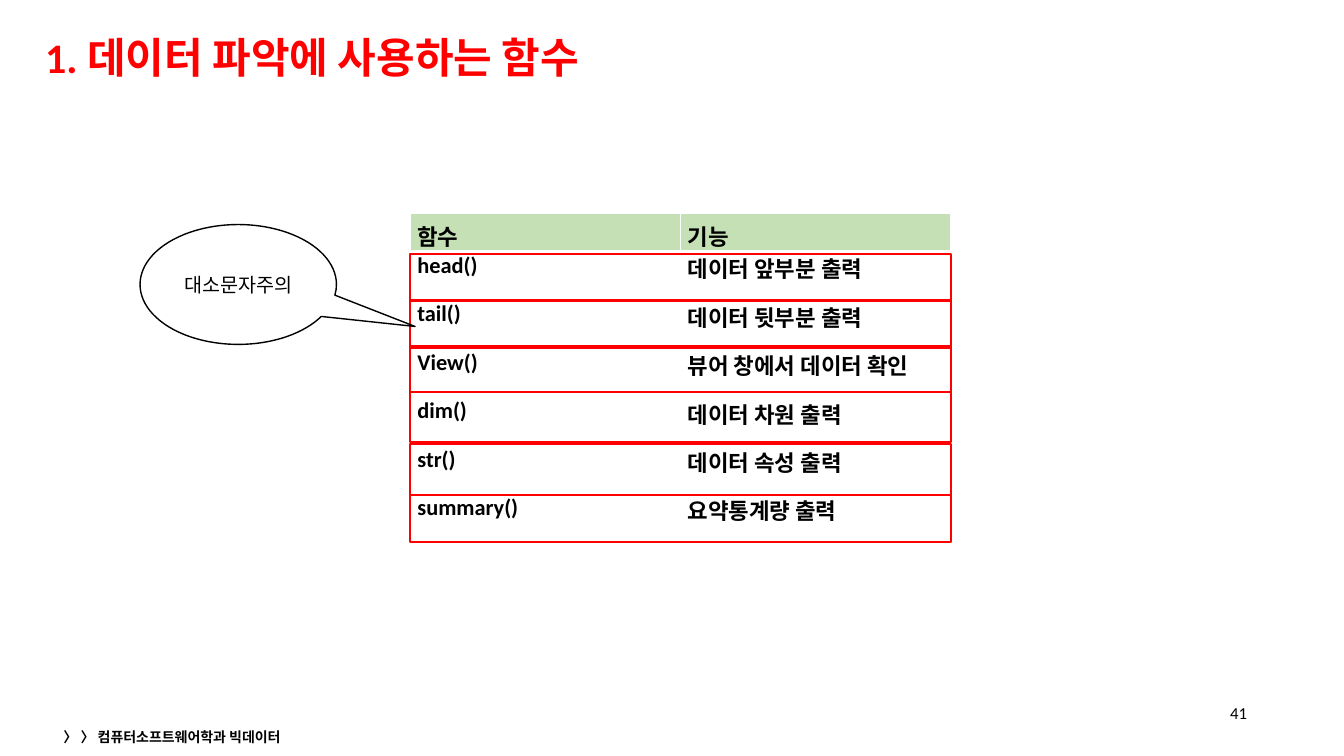
"""Build the slide listing functions for getting to know a data set."""
import lxml.etree
import pptx
import pptx.dml.color
import pptx.enum.shapes
import pptx.enum.text
import pptx.oxml.ns
import pptx.util

Cm = pptx.util.Cm
Pt = pptx.util.Pt
RGBColor = pptx.dml.color.RGBColor
Anchor = pptx.enum.text.MSO_ANCHOR
Align = pptx.enum.text.PP_ALIGN
Shape = pptx.enum.shapes.MSO_SHAPE
qn = pptx.oxml.ns.qn

BLACK = RGBColor(0x00, 0x00, 0x00)
WHITE = RGBColor(0xFF, 0xFF, 0xFF)
RED = RGBColor(0xFF, 0x00, 0x00)
GREEN = RGBColor(0xC5, 0xE0, 0xB4)

FUNCTIONS = [
    ("함수", "기능"),
    ("head()", "데이터 앞부분 출력"),
    ("tail()", "데이터 뒷부분 출력"),
    ("View()", "뷰어 창에서 데이터 확인"),
    ("dim()", "데이터 차원 출력"),
    ("str()", "데이터 속성 출력"),
    ("summary()", "요약통계량 출력"),
]
TABLE_LEFT, TABLE_TOP, TABLE_WIDTH = 10.34, 5.38, 13.62
HEADER_HEIGHT, ROW_HEIGHT = 0.97, 1.22
FRAMES = [(6.4, 1.19), (7.57, 1.19), (8.71, 1.17),
          (9.88, 1.27), (11.2, 1.27), (12.47, 1.19)]


class SlideBuilder:
    latin = "Calibri"
    korean = "Noto Sans CJK KR"

    def __init__(self, slide):
        self.slide = slide

    def style(self, paragraph, size, color=BLACK, bold=False, align=Align.LEFT):
        paragraph.alignment = align
        font = paragraph.font
        font.name, font.size, font.bold = self.latin, Pt(size), bold
        font.color.rgb = color
        defaults = paragraph._p.get_or_add_pPr().find(qn("a:defRPr"))
        lxml.etree.SubElement(defaults, qn("a:ea"), typeface=self.korean)

    def text(self, box, runs, size, **look):
        frame = self.slide.shapes.add_textbox(*map(Cm, box)).text_frame
        frame.word_wrap = True
        frame.vertical_anchor = Anchor.MIDDLE
        paragraph = frame.paragraphs[0]
        for words in runs:
            paragraph.add_run().text = words
        self.style(paragraph, size, **look)
        return paragraph

    def shape(self, kind, box, line, width, fill=None):
        shape = self.slide.shapes.add_shape(kind, *map(Cm, box))
        shape.shadow.inherit = False
        shape.line.color.rgb = line
        shape.line.width = Pt(width)
        if fill is None:
            shape.fill.background()
        else:
            shape.fill.solid()
            shape.fill.fore_color.rgb = fill
        return shape

    def callout(self, box, words, tip):
        callout = self.shape(Shape.OVAL_CALLOUT, box, BLACK, 1, WHITE)
        callout.adjustments[0], callout.adjustments[1] = tip
        callout.text_frame.text = words
        callout.text_frame.vertical_anchor = Anchor.MIDDLE
        self.style(callout.text_frame.paragraphs[0], 14, align=Align.CENTER)

    def borders(self, cell, widths):
        properties = cell._tc.get_or_add_tcPr()
        for side, width in zip("LRTB", widths):
            line = lxml.etree.SubElement(
                properties, qn(f"a:ln{side}"), w=str(Pt(width)))
            fill = lxml.etree.SubElement(line, qn("a:solidFill"))
            lxml.etree.SubElement(fill, qn("a:srgbClr"), val=str(WHITE))

    def cell(self, cell, words, is_header, top_border):
        cell.margin_left = cell.margin_right = Cm(0.18)
        cell.margin_top = cell.margin_bottom = 0
        cell.vertical_anchor = Anchor.BOTTOM if is_header else Anchor.TOP
        self.borders(cell, (1, 1, top_border, 3 if is_header else 1))
        if is_header:
            cell.fill.solid()
            cell.fill.fore_color.rgb = GREEN
        else:
            cell.fill.background()
        cell.text = words
        paragraph = cell.text_frame.paragraphs[0]
        paragraph.space_after = Pt(6)
        self.style(paragraph, 16, bold=True, align=Align.JUSTIFY)

    def table(self, rows):
        height = HEADER_HEIGHT + ROW_HEIGHT * (len(rows) - 1)
        table = self.slide.shapes.add_table(
            len(rows), len(rows[0]), Cm(TABLE_LEFT), Cm(TABLE_TOP),
            Cm(TABLE_WIDTH), Cm(height)).table
        table.horz_banding = False
        for number, row in enumerate(rows):
            table.rows[number].height = Cm(ROW_HEIGHT if number else HEADER_HEIGHT)
            for column, words in enumerate(row):
                self.cell(table.cell(number, column), words,
                          number == 0, 3 if number == 1 else 1)


def main():
    presentation = pptx.Presentation()
    presentation.slide_width, presentation.slide_height = Cm(33.87), Cm(19.05)
    slide = presentation.slides.add_slide(presentation.slide_layouts[6])
    builder = SlideBuilder(slide)

    builder.table(FUNCTIONS)
    builder.text((30.56, 17.45, 1.12, 1.02), ["41"], 12, align=Align.RIGHT)
    title = builder.text((0.89, 0.58, 31.34, 1.85),
                         ["1. ", "데이터 파악에 사용하는 함수"],
                         30, color=RED, bold=True)
    title.line_spacing = 0.9
    title.runs[1].font.name = builder.korean
    builder.text((1.35, 18.26, 11.43, 0.61),
                 ["〉 〉 컴퓨터소프트웨어학과 빅데이터"], 10, bold=True)
    for top, height in FRAMES:
        builder.shape(Shape.RECTANGLE, (TABLE_LEFT, top, TABLE_WIDTH, height),
                      RED, 1.5)
    builder.callout((3.53, 5.66, 4.95, 3.02), "대소문자주의", (0.9, 0.35))

    presentation.save("out.pptx")


if __name__ == "__main__":
    main()
